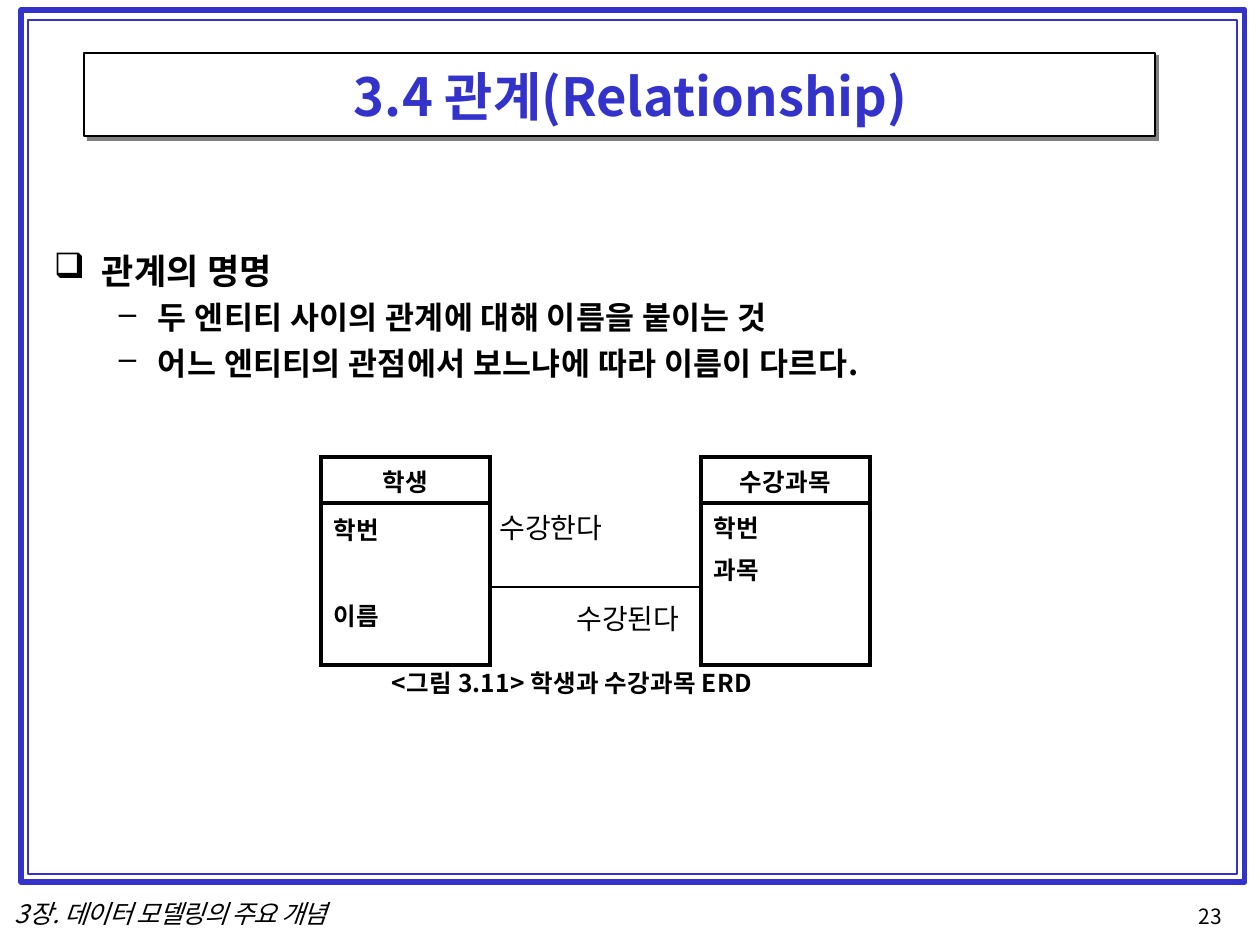
from pptx import Presentation
from pptx import util as u
from pptx.dml.color import RGBColor
from pptx.enum import shapes, text
from pptx.oxml.ns import qn
from lxml import etree

PX = 914400 // 126
BLUE, BLACK, GREY = "3333CC", "000000", "808080"
THICK, THIN = 2.25, 0.75


def px(length):
    return u.Emu(length * PX)


def color(code):
    return RGBColor.from_string(code)


class Page:
    font = "Noto Sans CJK KR"

    def __init__(self, deck):
        self.shapes = deck.slides.add_slide(deck.slide_layouts[6]).shapes

    def frame(self, left, top, width, height, line, weight):
        box = self.shapes.add_shape(shapes.MSO_SHAPE.RECTANGLE, px(left), px(top), px(width), px(height))
        box.shadow.inherit = False
        box.fill.background()
        box.line.color.rgb = color(line)
        box.line.width = u.Pt(weight)

    def outline(self, points, fill):
        """Draw a filled polygon without a line."""
        builder = self.shapes.build_freeform(*points[0], scale=PX)
        builder.add_line_segments(points[1:], close=True)
        shape = builder.convert_to_shape()
        shape.shadow.inherit = False
        shape.fill.solid()
        shape.fill.fore_color.rgb = color(fill)
        shape.line.fill.background()

    def style(self, para, size, ink=BLACK, bold=False, italic=False, spacing=0.0,
              before=0.0, indent=0, hanging=0, bullet=None, align=None, leading=None):
        """Format a paragraph and its runs; spacing is in points between letters."""
        para.space_before = u.Pt(before)
        if leading:
            para.line_spacing = u.Pt(leading)
        if align is not None:
            para.alignment = align
        props = para._p.get_or_add_pPr()
        props.set("marL", str(px(indent)))
        props.set("indent", str(px(-hanging)))
        if bullet:
            etree.SubElement(props, qn("a:buChar")).set("char", bullet)
        for span in para.runs:
            font = span.font
            font.name, font.size, font.bold, font.italic = self.font, u.Pt(size), bold, italic
            font.color.rgb = color(ink)
            run_props = span._r.get_or_add_rPr()
            run_props.set("spc", str(round(spacing * 100)))
            etree.SubElement(run_props, qn("a:ea")).set("typeface", self.font)

    def textbox(self, left, top, width, height, lines, inset=0):
        """Write lines given as (words, style) pairs."""
        frame = self.shapes.add_textbox(px(left), px(top), px(width), px(height)).text_frame
        frame.word_wrap = True
        frame.margin_left = frame.margin_right = frame.margin_bottom = 0
        frame.margin_top = px(inset)
        frame.text = "\n".join(words for words, _ in lines)
        for para, (_, style) in zip(frame.paragraphs, lines):
            self.style(para, **style)

    def table(self, left, top, columns, rows):
        table = self.shapes.add_table(len(rows), len(columns), px(left), px(top),
                                      px(sum(columns)), px(sum(rows))).table
        table.first_row = table.horz_banding = False
        for column, width in zip(table.columns, columns):
            column.width = px(width)
        for row, height in zip(table.rows, rows):
            row.height = px(height)
        return table

    def borders(self, cell, **weights):
        """Set the L, R, T and B borders; a side that is not named has none."""
        props = cell._tc.get_or_add_tcPr()
        for side in "LRTB":
            line = etree.SubElement(props, qn("a:ln" + side))
            if side in weights:
                line.set("w", str(u.Pt(weights[side])))
                fill = etree.SubElement(line, qn("a:solidFill"))
                etree.SubElement(fill, qn("a:srgbClr")).set("val", BLACK)
            else:
                line.set("w", "0")
                etree.SubElement(line, qn("a:noFill"))
        cell.fill.background()

    def cell(self, cell, words, inset, gap=0.0, **style):
        """Fill a cell; gap is the space in points between its paragraphs."""
        cell.margin_left = cell.margin_right = cell.margin_bottom = 0
        cell.margin_top = px(inset)
        cell.text_frame.text = words
        for number, para in enumerate(cell.text_frame.paragraphs):
            self.style(para, before=gap if number else 0, **style)


def draw_entities(page):
    table = page.table(321, 457, (169, 211, 169), (46, 84, 78))
    for row in range(3):
        for column in (0, 2):
            page.borders(table.cell(row, column), L=THICK, R=THICK, T=THICK, B=THICK)
    page.borders(table.cell(0, 1), L=THICK, R=THICK)
    page.borders(table.cell(1, 1), L=THICK, R=THICK, B=THIN)
    page.borders(table.cell(2, 1), L=THICK, R=THICK, T=THIN)

    table.cell(0, 1).merge(table.cell(1, 1))
    entities = ((0, "학생", "학번\n이름", 8, 29), (2, "수강과목", "학번\n과목", 6, 3.4))
    for column, name, attributes, inset, gap in entities:
        table.cell(1, column).merge(table.cell(2, column))
        page.cell(table.cell(0, column), name, 6, size=14, bold=True, spacing=0.1,
                  align=text.PP_ALIGN.CENTER)
        page.cell(table.cell(1, column), attributes, inset, gap, size=14, bold=True, indent=13)
    page.cell(table.cell(0, 1), "수강한다", 49, size=16, spacing=-0.1, indent=10)
    page.cell(table.cell(2, 1), "수강된다", 10, size=16, spacing=-0.1, indent=87)


def main():
    deck = Presentation()
    deck.slide_width, deck.slide_height = u.Inches(10), u.Inches(7.5)
    page = Page(deck)

    page.frame(21, 10, 1224, 872, BLUE, 3)
    page.frame(28, 20, 1209, 854, BLUE, 0.96)
    page.outline([(1159, 55), (1155, 55), (1155, 137), (87, 137), (87, 141), (1159, 141)], GREY)
    page.frame(84, 53, 1071, 83, BLACK, 0.72)
    page.textbox(84, 63, 1070, 67, [
        ("3.4 관계(Relationship)", dict(size=30, ink=BLUE, bold=True, indent=270, before=1)),
    ], inset=1)

    point = dict(size=18, bold=True, spacing=0.2, indent=105, hanging=39, bullet="–", before=4.2)
    page.textbox(53, 239, 858, 145, [
        ("관계의 명명", dict(size=20, bold=True, spacing=0.1, indent=49, hanging=48,
                         bullet="❑", before=5.8)),
        ("두 엔티티 사이의 관계에 대해 이름을 붙이는 것", point),
        ("어느 엔티티의 관점에서 보느냐에 따라 이름이 다르다.", point),
    ], inset=10)

    draw_entities(page)
    page.textbox(391, 667, 383, 33, [
        ("<그림 3.11> 학생과 수강과목 ERD", dict(size=14, bold=True, spacing=0.1, indent=1, before=1)),
    ], inset=1)

    page.textbox(14, 900, 353, 29, [
        ("3장. 데이터 모델링의 주요 개념", dict(size=14.5, italic=True, spacing=-0.5, indent=1, leading=16.6)),
    ])
    page.textbox(1194, 905, 37, 24, [("23", dict(size=12, indent=5, leading=13.7))])
    deck.save("out.pptx")


if __name__ == "__main__":
    main()
